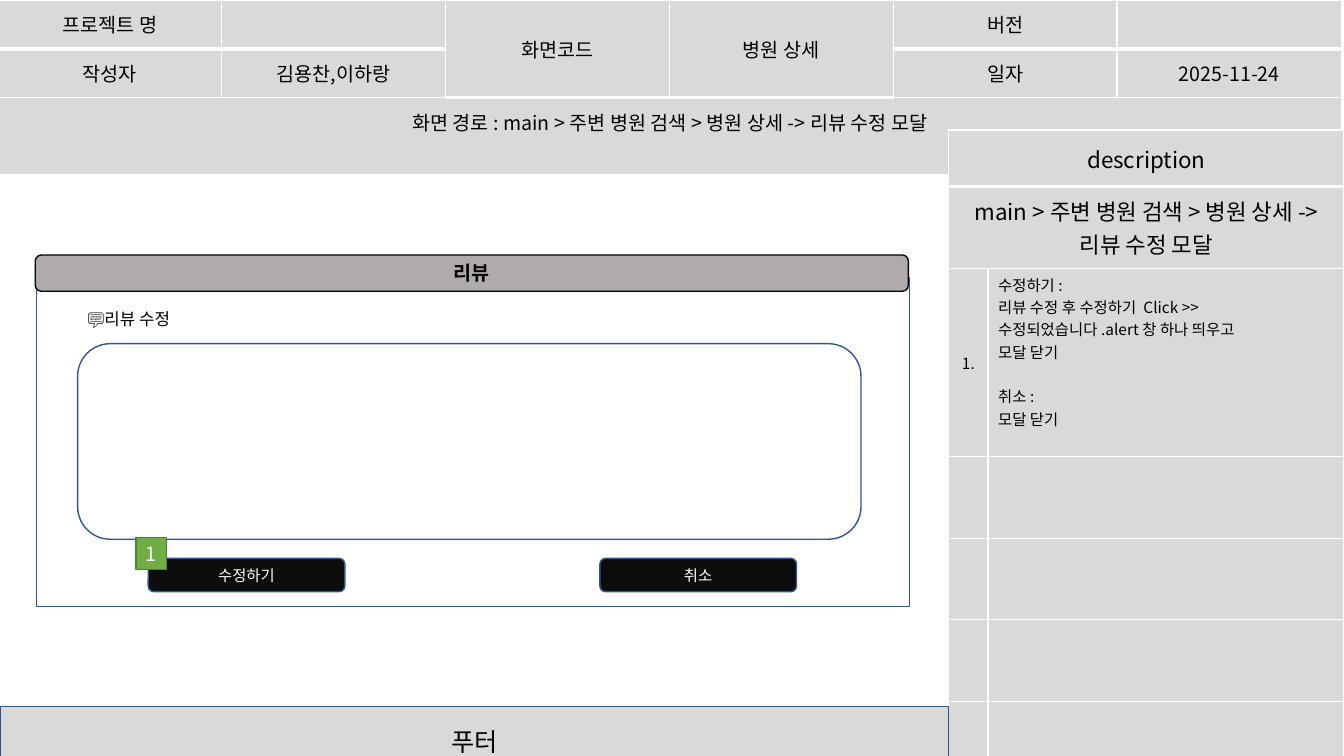
from lxml import etree
from pptx import Presentation
from pptx.dml.color import RGBColor
from pptx.enum.shapes import MSO_SHAPE
from pptx.enum.text import MSO_ANCHOR, PP_ALIGN
from pptx.oxml.ns import qn
from pptx.util import Inches, Pt

RECT, ROUND = MSO_SHAPE.RECTANGLE, MSO_SHAPE.ROUNDED_RECTANGLE
TOP, MIDDLE = MSO_ANCHOR.TOP, MSO_ANCHOR.MIDDLE
LEFT, CENTER = PP_ALIGN.LEFT, PP_ALIGN.CENTER

FONT = "Noto Sans CJK KR"
BLACK = RGBColor(0x00, 0x00, 0x00)
WHITE = RGBColor(0xFF, 0xFF, 0xFF)
PANEL = RGBColor(0xD9, 0xD9, 0xD9)
TITLE_GRAY = RGBColor(0xAF, 0xAB, 0xAB)
BUTTON = RGBColor(0x0D, 0x0D, 0x0D)
BLUE = RGBColor(0x32, 0x54, 0x91)
GREEN = RGBColor(0x70, 0xAD, 0x47)
DARK_GREEN = RGBColor(0x53, 0x80, 0x35)

# Content
ROUTE = "main > 주변 병원 검색 > 병원 상세 -> 리뷰 수정 모달"
INFO = [
    ["프로젝트 명", "", "화면코드", "병원 상세", "버전", ""],
    ["작성자", "김용찬,이하랑", "", "", "일자", "2025-11-24"],
    [f"화면 경로 : {ROUTE}", "", "", "", "", ""],
]
INFO_MERGES = [((0, 2), (1, 2)), ((0, 3), (1, 3)), ((2, 0), (2, 5))]
EDIT_STEPS = ["수정하기 :", "리뷰 수정 후 수정하기  Click >>",
              "수정되었습니다 .alert 창 하나 띄우고", "모달 닫기"]
CANCEL_STEPS = ["취소 :", "모달 닫기"]
EMPTY_ROWS = 5
NOTES = [["description", ""], [ROUTE, ""],
         ["1.", "\n".join(EDIT_STEPS + CANCEL_STEPS)]] + [["", ""]] * EMPTY_ROWS
NOTES_MERGES = [((0, 0), (0, 1)), ((1, 0), (1, 1))]

# Shapes: kind, box, fill, line, text, size, text colour
MODAL = (RECT, (0.36, 2.76, 8.66, 3.26), WHITE, BLUE, "💬리뷰 수정", 12, BLACK)
FOOTER = (RECT, (0, 7.01, 9.41, 0.7), PANEL, BLUE, "푸터", 18, BLACK)
MODAL_TITLE = (ROUND, (0.35, 2.53, 8.66, 0.36), TITLE_GRAY, BLACK, "리뷰", 14, BLACK)
BUTTONS = [(ROUND, (left, 5.54, 1.95, 0.33), BUTTON, BLUE, label, 11, WHITE)
           for left, label in ((1.47, "수정하기"), (5.95, "취소"))]
REVIEW_FIELD = (ROUND, (0.77, 3.41, 7.77, 1.94), WHITE, BLUE, "", 12, BLACK)
MARKER = (RECT, (1.35, 5.33, 0.3, 0.32), GREEN, DARK_GREEN, "1", 14, WHITE)


def write(frame, text, size, color=BLACK, align=CENTER):
    frame.text = text
    for paragraph in frame.paragraphs:
        paragraph.alignment = align
        for run in paragraph.runs:
            for name, value in {"size": Pt(size), "name": FONT}.items():
                setattr(run.font, name, value)
            run.font.color.rgb = color
            etree.SubElement(run.font._element, qn("a:ea"), typeface=FONT)


def add_box(slide, kind, box, fill, line, text, size, color):
    shape = slide.shapes.add_shape(kind, *map(Inches, box))
    shape.shadow.inherit = False
    shape.fill.solid()
    shape.fill.fore_color.rgb = fill
    shape.line.color.rgb = line
    shape.line.width = Pt(1)
    shape.text_frame.vertical_anchor = MIDDLE
    if text:
        write(shape.text_frame, text, size, color)
    return shape


def set_borders(cell, widths):
    properties = cell._tc.get_or_add_tcPr()
    for index, (side, points) in enumerate(widths.items()):
        line = etree.Element(qn(f"a:ln{side}"), w=str(Pt(points)))
        fill = etree.SubElement(line, qn("a:solidFill"))
        etree.SubElement(fill, qn("a:srgbClr"), val=str(WHITE))
        properties.insert(index, line)


def add_grid(slide, left, top, widths, heights, rows, merges, thick):
    """Grey table with white rules; cells listed in thick get a heavy lower rule."""
    table = slide.shapes.add_table(
        len(rows), len(widths), Inches(left), Inches(top),
        Inches(sum(widths)), Inches(sum(heights))).table
    for column, width in zip(table.columns, widths):
        column.width = Inches(width)
    for row, height in zip(table.rows, heights):
        row.height = Inches(height)
    for start, end in merges:
        table.cell(*start).merge(table.cell(*end))
    for r in range(len(rows)):
        for c in range(len(widths)):
            cell = table.cell(r, c)
            cell.fill.solid()
            cell.fill.fore_color.rgb = PANEL
            sides = {"L": 1, "R": 1, "T": 1, "B": 3 if (r, c) in thick else 1}
            if r:
                del sides["T"]
            set_borders(cell, sides)
    return table


def main():
    deck = Presentation()
    deck.slide_width, deck.slide_height = Inches(13.33), Inches(7.5)
    slide = deck.slides.add_slide(deck.slide_layouts[6])

    # Modal panel with its heading in the upper left
    modal = add_box(slide, *MODAL).text_frame
    modal.vertical_anchor = TOP
    modal.margin_left, modal.margin_top = Inches(0.51), Inches(0.3)
    modal.paragraphs[0].alignment = LEFT

    # Document information across the top
    thick = {(0, c) for c in range(6)} | {(1, 2), (1, 3)}
    info = add_grid(slide, -0.02, 0, [2.22] * 5 + [2.23], [0.48, 0.48, 0.76],
                    INFO, INFO_MERGES, thick)
    for r, row in enumerate(INFO):
        for c, text in enumerate(row):
            if text:
                cell = info.cell(r, c)
                for side in ("left", "right", "top", "bottom"):
                    setattr(cell, f"margin_{side}", Inches(0.1))
                cell.vertical_anchor = MIDDLE if cell.is_merge_origin and r == 0 else TOP
                write(cell.text_frame, text, 14)

    # Description column on the right
    notes = add_grid(slide, 9.41, 1.29, [0.39, 3.53],
                     [0.56, 0.81, 1.87] + [0.81] * EMPTY_ROWS,
                     NOTES, NOTES_MERGES, {(0, 0), (0, 1)})
    for r, row in enumerate(NOTES):
        for c, text in enumerate(row):
            if text:
                cell = notes.cell(r, c)
                cell.vertical_anchor = TOP if c else MIDDLE
                write(cell.text_frame, text, 16 if r < 2 else 11,
                      align=LEFT if c else CENTER)
    steps = notes.cell(2, 1).text_frame.paragraphs
    steps[len(EDIT_STEPS)].space_before = Pt(16)

    # Footer, modal title, buttons, review field and marker
    add_box(slide, *FOOTER)
    title = add_box(slide, *MODAL_TITLE)
    title.text_frame.paragraphs[0].runs[0].font.bold = True
    for item in (*BUTTONS, REVIEW_FIELD, MARKER):
        add_box(slide, *item)

    deck.save("out.pptx")


if __name__ == "__main__":
    main()
